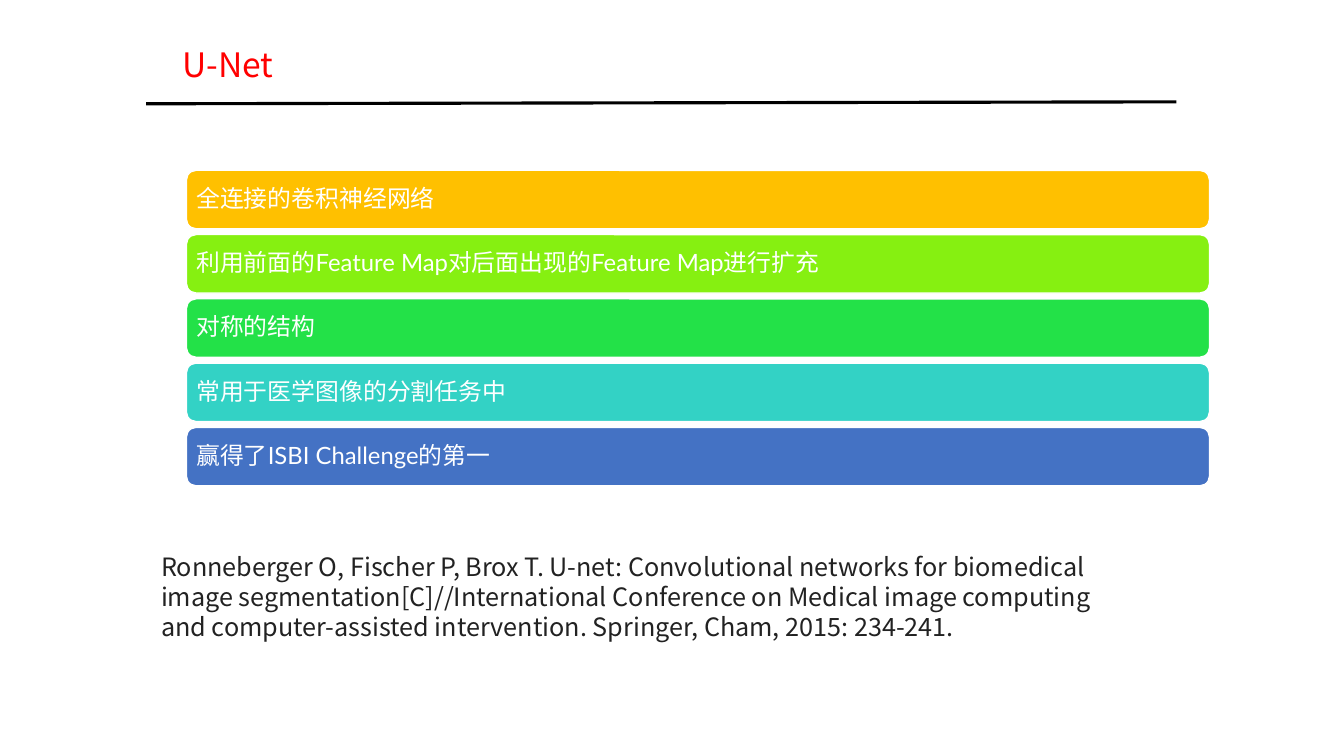
from lxml import etree
from pptx import Presentation
from pptx.dml.color import RGBColor
from pptx.enum.shapes import MSO_CONNECTOR, MSO_SHAPE
from pptx.enum.text import MSO_ANCHOR, MSO_AUTO_SIZE, PP_ALIGN
from pptx.oxml.ns import qn
from pptx.util import Inches, Pt

STRAIGHT = MSO_CONNECTOR.STRAIGHT
ROUNDED = MSO_SHAPE.ROUNDED_RECTANGLE
MIDDLE = MSO_ANCHOR.MIDDLE
GROW = MSO_AUTO_SIZE.SHAPE_TO_FIT_TEXT
LEFT = PP_ALIGN.LEFT

COLOURS = {
    "rule": "000000",
    "title": "FF0000",
    "citation": "222222",
    "white": "FFFFFF",
    "amber": "FFC000",
    "lime": "86F011",
    "green": "23E148",
    "teal": "33D2C5",
    "blue": "4472C4",
}
HAN_FONT = "Noto Sans CJK SC"
BAR_FONT = "Lato"

FEATURES = [
    ("全连接的卷积神经网络", "amber"),
    ("利用前面的Feature Map对后面出现的Feature Map进行扩充", "lime"),
    ("对称的结构", "green"),
    ("常用于医学图像的分割任务中", "teal"),
    ("赢得了ISBI Challenge的第一", "blue"),
]
CITATION = (
    "Ronneberger O, Fischer P, Brox T. U-net: Convolutional networks for "
    "biomedical image segmentation[C]//International Conference on Medical "
    "image computing and computer-assisted intervention. Springer, Cham, "
    "2015: 234-241."
)


def set_all(target, values):
    for name, value in values.items():
        setattr(target, name, value)


class SlideBuilder:
    """Draws on one slide; places and sizes are percentages of the slide."""

    def __init__(self, deck):
        self.deck = deck
        self.page = deck.slides.add_slide(deck.slide_layouts[6])

    def place(self, across, down):
        return (round(self.deck.slide_width * across / 100),
                round(self.deck.slide_height * down / 100))

    def colour(self, name):
        return RGBColor.from_string(COLOURS[name])

    def fill_text(self, box, text, size, font, colour, frame, paragraph):
        set_all(box.text_frame, {"word_wrap": True, **frame})
        para = box.text_frame.paragraphs[0]
        set_all(para, {"alignment": LEFT, **paragraph})
        span = para.add_run()
        span.text = text
        set_all(span.font, {"size": Pt(size), "name": font})
        span.font.color.rgb = self.colour(colour)
        properties = span._r.get_or_add_rPr()
        etree.SubElement(properties, qn("a:ea")).set("typeface", HAN_FONT)

    def rule(self, start, end, width):
        line = self.page.shapes.add_connector(
            STRAIGHT, *self.place(*start), *self.place(*end))
        line.line.color.rgb = self.colour("rule")
        line.line.width = Pt(width)
        etree.SubElement(line._element.spPr, qn("a:effectLst"))

    def label(self, corner, extent, text, size, colour):
        box = self.page.shapes.add_textbox(
            *self.place(*corner), *self.place(*extent))
        self.fill_text(box, text, size, HAN_FONT, colour,
                       {"auto_size": GROW}, {})

    def bar(self, corner, extent, text, fill):
        bar = self.page.shapes.add_shape(
            ROUNDED, *self.place(*corner), *self.place(*extent))
        bar.shadow.inherit = False
        bar.fill.solid()
        bar.fill.fore_color.rgb = self.colour(fill)
        bar.line.color.rgb = self.colour("white")
        bar.line.width = Pt(1)
        sides = ("left", "top", "right", "bottom")
        frame = {f"margin_{side}": Inches(0.07) for side in sides}
        frame["vertical_anchor"] = MIDDLE
        self.fill_text(bar, text, 17, BAR_FONT, "white", frame,
                       {"line_spacing": 0.9, "space_after": Pt(6)})


def main():
    deck = Presentation()
    deck.slide_width, deck.slide_height = Inches(13.33), Inches(7.5)
    builder = SlideBuilder(deck)
    builder.rule((10.87, 13.73), (87.53, 13.47), 2.25)
    builder.label((12.82, 5.2), (29.77, 6.67), "U-Net", 24, "title")
    builder.label((11.25, 72.27), (73.73, 13.47), CITATION, 18, "citation")
    first_top, pitch = 22.53, 8.5
    for row, (text, fill) in enumerate(FEATURES):
        builder.bar((13.87, first_top + row * pitch), (76.13, 7.73), text, fill)
    deck.save("out.pptx")


if __name__ == "__main__":
    main()
